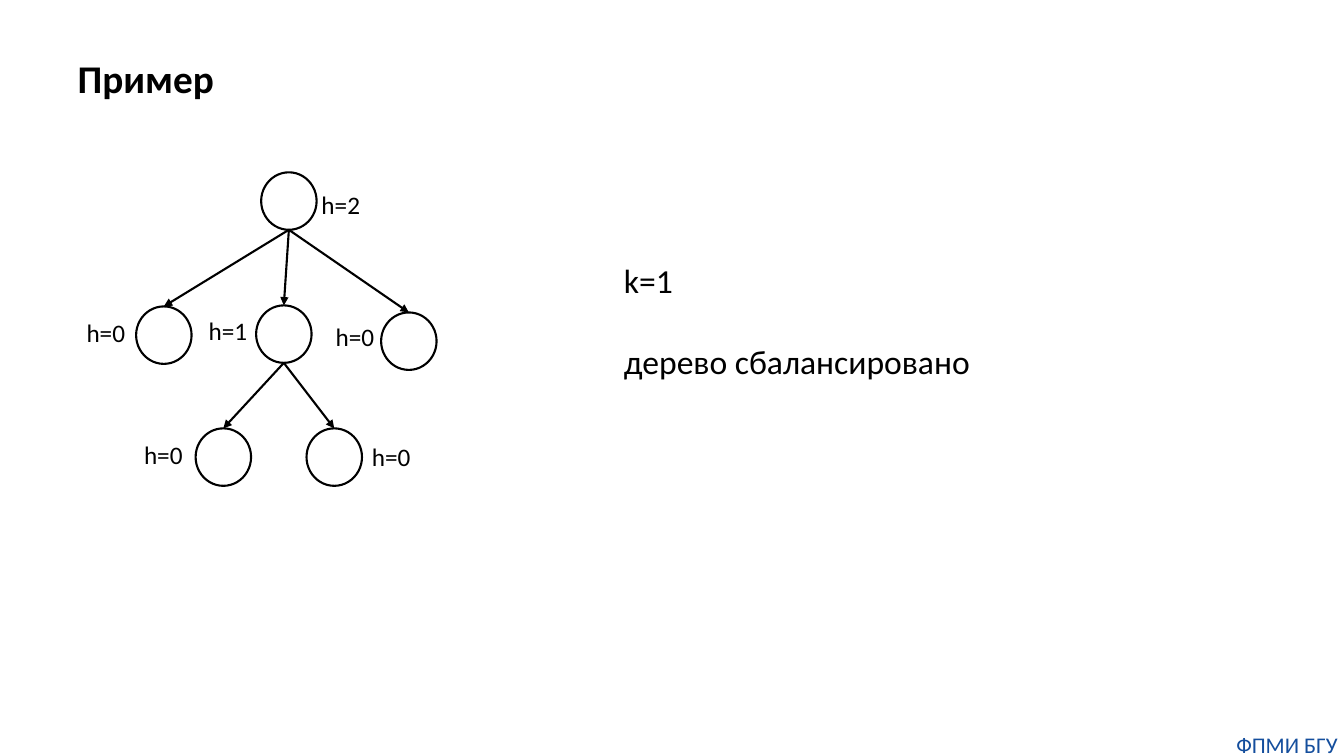
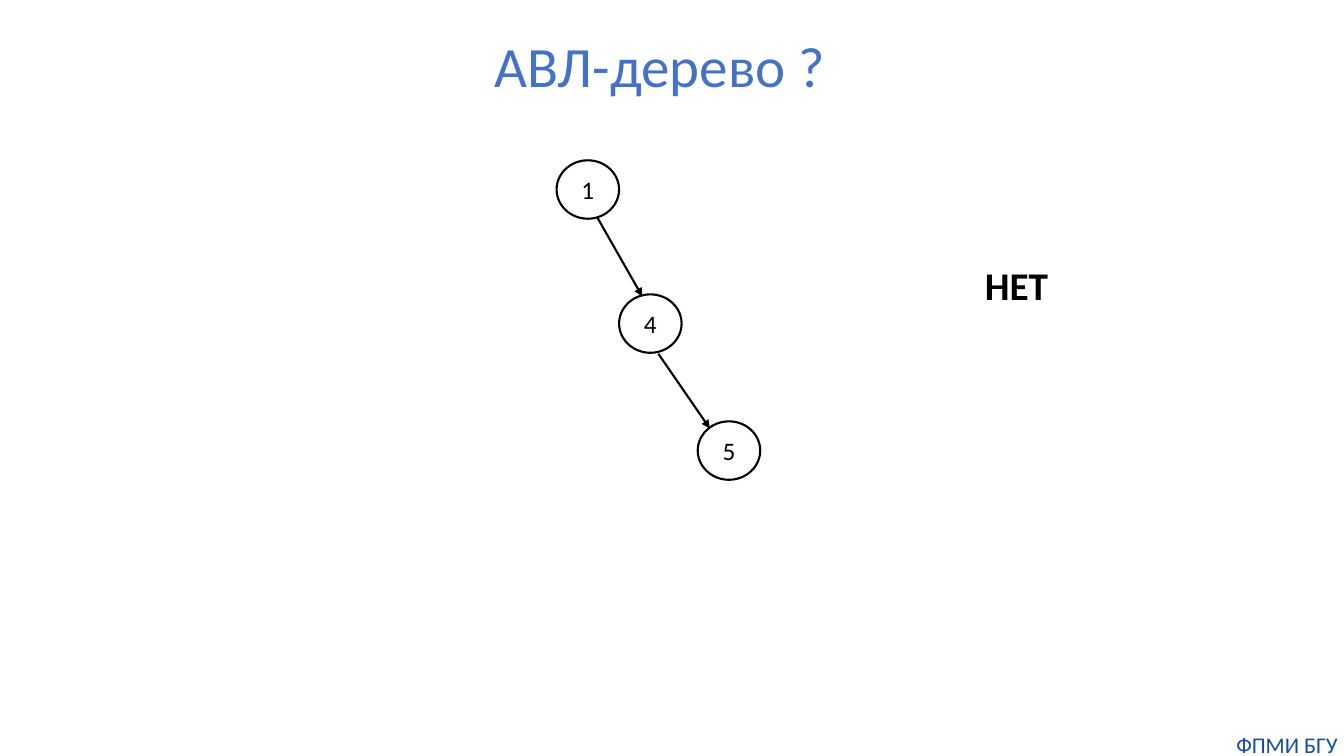
from pptx import Presentation
from pptx.dml.color import RGBColor
from pptx.enum.shapes import MSO_CONNECTOR, MSO_SHAPE
from pptx.enum.text import MSO_ANCHOR as Anchor, PP_ALIGN as Align
from pptx.oxml.ns import qn
from pptx.util import Inches, Pt
from lxml.etree import SubElement

FONT = "Calibri"
BLACK, TITLE_BLUE, FOOTER_BLUE = "000000", "4472C4", "144E9D"
TITLE_ONLY = 5
NODE_WIDTH, NODE_HEIGHT = 0.55, 0.57


def color(value):
    """Turn a hex string into a colour."""
    return RGBColor.from_string(value)


def format_text(frame, size, hue=BLACK, bold=False, align=Align.LEFT):
    """Format every paragraph and run of a text frame."""
    for para in frame.paragraphs:
        para.alignment = align
        for span in para.runs:
            span.font.name = FONT
            span.font.size = Pt(size)
            span.font.bold = bold
            span.font.color.rgb = color(hue)


def add_text(page, box, text, size, wrap=False, margin=None, **style):
    """Place a text box and return its frame."""
    frame = page.shapes.add_textbox(*map(Inches, box)).text_frame
    frame.word_wrap = wrap
    if margin is not None:
        frame.margin_left = frame.margin_right = Inches(margin)
        frame.margin_top = frame.margin_bottom = Inches(margin)
    frame.text = text
    format_text(frame, size, **style)
    return frame


def set_title(page, box, text, size, spacing, anchor, **style):
    """Move, fill and format the title placeholder."""
    title = page.shapes.title
    title.left, title.top, title.width, title.height = map(Inches, box)
    frame = title.text_frame
    frame.text = text
    frame.vertical_anchor = anchor
    frame.paragraphs[0].line_spacing = spacing
    format_text(frame, size, **style)


def add_page(deck):
    """Add a slide carrying the shared footer."""
    page = deck.slides.add_slide(deck.slide_layouts[TITLE_ONLY])
    add_text(page, (12.2, 7.25, 1.13, 0.27), "ФПМИ БГУ", 16, wrap=True,
             margin=0, hue=FOOTER_BLUE, align=Align.CENTER)
    return page


def add_node(page, box, text=""):
    """Draw one outlined tree node."""
    node = page.shapes.add_shape(MSO_SHAPE.OVAL, *map(Inches, box))
    node.shadow.inherit = False
    node.fill.background()
    node.line.color.rgb = color(BLACK)
    node.line.width = Pt(1.5)
    if text:
        node.text_frame.text = text
        node.text_frame.vertical_anchor = Anchor.MIDDLE
        format_text(node.text_frame, 18, align=Align.CENTER)


def add_arrow(page, start, end):
    """Draw a straight arrow between two points."""
    arrow = page.shapes.add_connector(
        MSO_CONNECTOR.STRAIGHT, *map(Inches, (*start, *end)))
    arrow.line.color.rgb = color(BLACK)
    arrow.line.width = Pt(1.5)
    line = arrow._element.spPr.find(qn("a:ln"))
    SubElement(line, qn("a:tailEnd"), type="triangle")
    SubElement(arrow._element.spPr, qn("a:effectLst"))


def draw_height_tree(page, left, top):
    """Draw a tree whose nodes are labelled with heights."""
    plan = {
        "root": (1.83, 0, "h=2", 2.33, 0.12, None),
        "left": (0.59, 1.33, "h=0", 0, 1.39, "root"),
        "middle": (1.78, 1.32, "h=1", 1.21, 1.37, "root"),
        "right": (3.02, 1.39, "h=0", 2.47, 1.43, "root"),
        "left leaf": (1.18, 2.54, "h=0", 0.57, 2.6, "middle"),
        "right leaf": (2.28, 2.54, "h=0", 2.83, 2.62, "middle"),
    }
    for x, y, height, label_x, label_y, parent in plan.values():
        add_node(page, (left + x, top + y, NODE_WIDTH, NODE_HEIGHT))
        add_text(page, (left + label_x, top + label_y, 0.59, 0.4), height, 18)
        if parent:
            parent_x, parent_y = plan[parent][:2]
            center = left + NODE_WIDTH / 2
            add_arrow(page, (center + parent_x, top + parent_y + NODE_HEIGHT),
                      (center + x, top + y))


def draw_chain(page, left, top):
    """Draw a tree that only grows to the right."""
    for x, y, key in ((0, 0, "1"), (0.62, 1.33, "4"), (1.4, 2.59, "5")):
        add_node(page, (left + x, top + y, 0.62, 0.58), key)
    for x1, y1, x2, y2 in ((0.4, 0.56, 0.85, 1.35), (1.01, 1.92, 1.52, 2.66)):
        add_arrow(page, (left + x1, top + y1), (left + x2, top + y2))


def build_example(deck):
    """Build the balanced tree example."""
    page = add_page(deck)
    set_title(page, (0.67, 0.37, 8.09, 0.86), "Пример", 28, 0.9,
              Anchor.MIDDLE, bold=True)
    draw_height_tree(page, 0.76, 1.71)
    verdict = add_text(page, (6.09, 2.53, 6.01, 1.31),
                       "k=1\nдерево сбалансировано", 24, wrap=True)
    verdict.paragraphs[1].space_before = Pt(29)


def build_question(deck):
    """Build the AVL question with its answer."""
    page = add_page(deck)
    set_title(page, (4.49, 0.38, 4.1, 0.65), "АВЛ-дерево ?", 40.7, 0.8,
              Anchor.TOP, hue=TITLE_BLUE, align=Align.CENTER)
    draw_chain(page, 5.52, 1.59)
    add_text(page, (9.67, 2.54, 0.83, 0.57), "НЕТ", 28, bold=True)


def main():
    """Build and save the deck."""
    deck = Presentation()
    deck.slide_width, deck.slide_height = Inches(13.33), Inches(7.5)
    build_example(deck)
    build_question(deck)
    deck.save("out.pptx")


if __name__ == "__main__":
    main()
